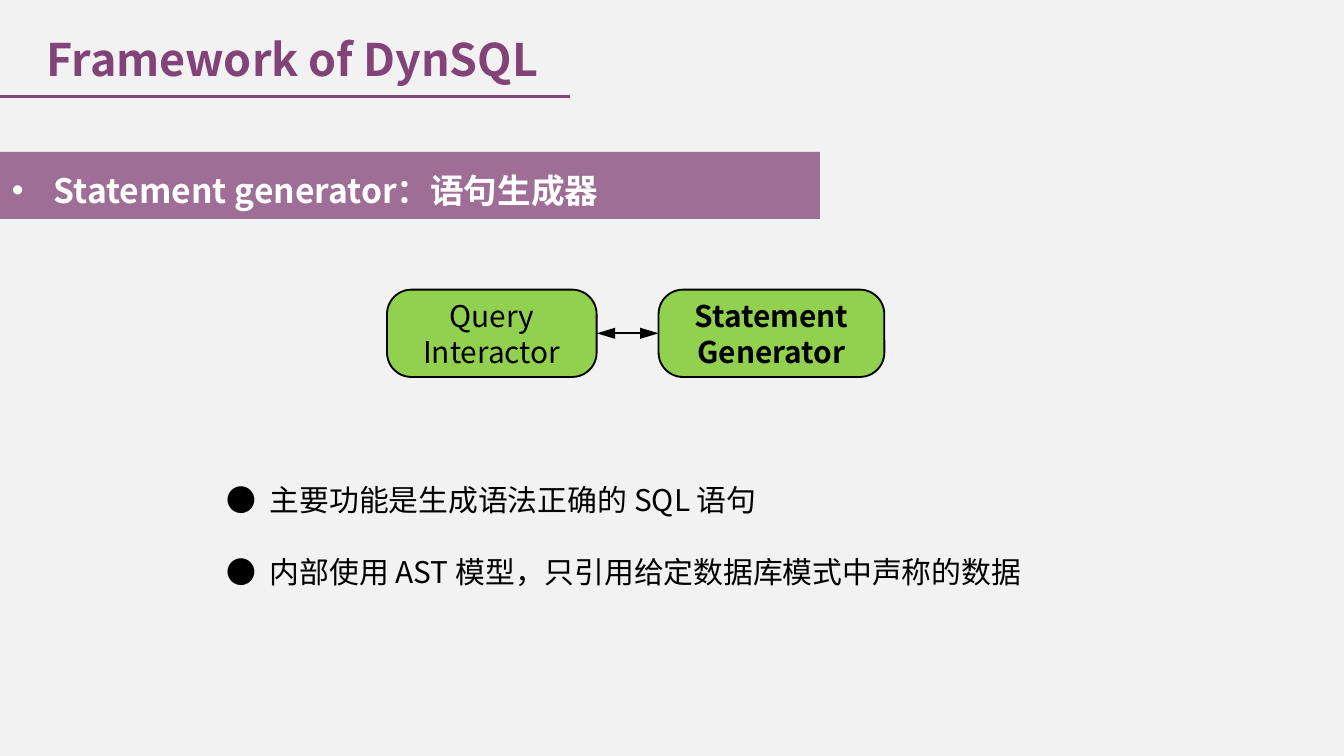
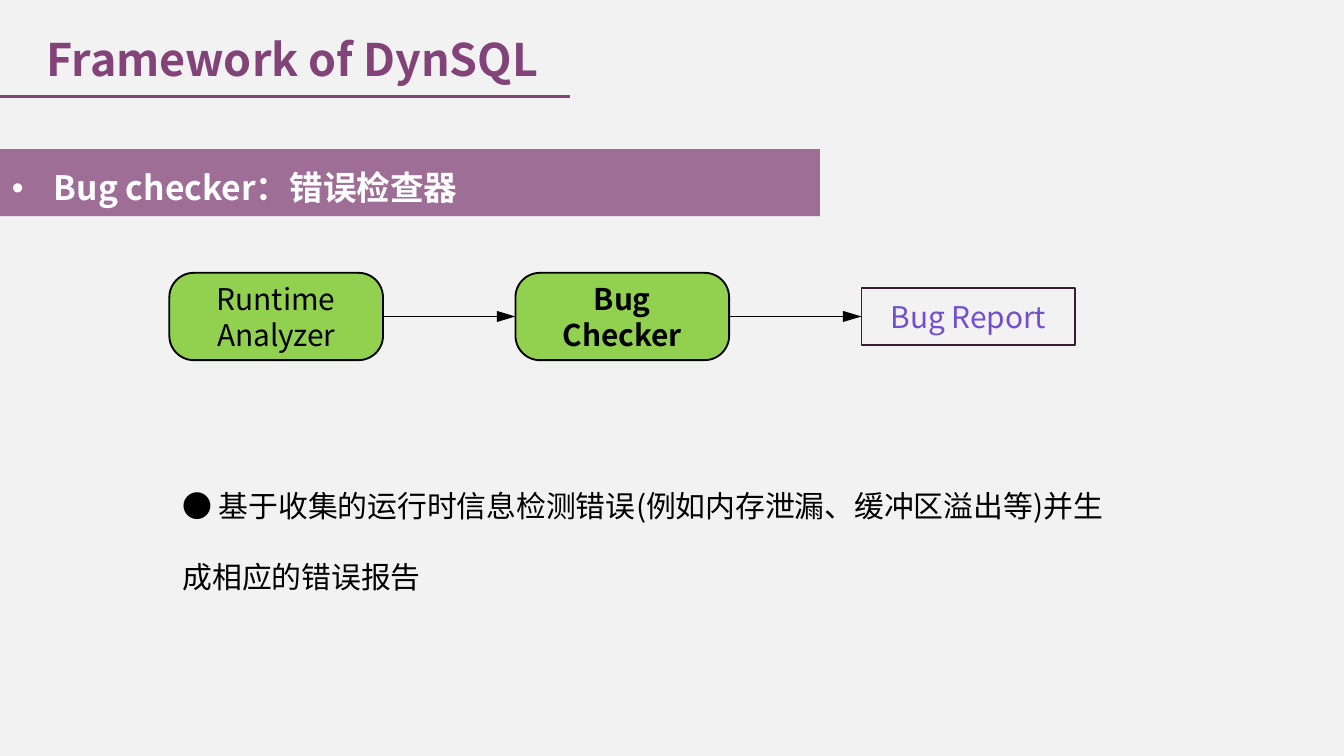
"""Builds two slides on the DynSQL framework, each a banner, a flow of nodes and notes."""
from dataclasses import dataclass

from lxml.etree import SubElement
from pptx import Presentation
from pptx.dml.color import RGBColor
from pptx.enum.shapes import MSO_CONNECTOR, MSO_SHAPE
from pptx.enum.text import MSO_ANCHOR, MSO_AUTO_SIZE, PP_ALIGN
from pptx.oxml.ns import qn
from pptx.util import Inches, Pt


@dataclass(frozen=True)
class Theme:
    font: str = "Noto Sans CJK SC"
    bullet_font: str = "Arial"
    background: str = "F2F2F2"
    accent: str = "824379"
    ink: str = "000000"
    white: str = "FFFFFF"
    node: str = "92D050"
    report_line: str = "391D35"
    report_text: str = "734ECF"
    title_size: int = 24
    banner_size: int = 18
    body_size: int = 16


THEME = Theme()
COLUMNS, ROWS = 100, 56.25
CELL = Inches(0.1)

TITLE = "Framework of DynSQL"
TITLE_BOX = (2.5, 1.9, 39.9, 5)
RULE = (-0.1, 7.2, 42.4, 7.2)
BANNER_LEFT, BANNER_WIDTH, BANNER_HEIGHT = -0.1, 61.1, 5

NODE_STYLES = {
    "plain": dict(preset=MSO_SHAPE.ROUNDED_RECTANGLE, height=6.5, fill=THEME.node,
                  line=THEME.ink, color=THEME.ink, bold=False),
    "focus": dict(preset=MSO_SHAPE.ROUNDED_RECTANGLE, height=6.5, fill=THEME.node,
                  line=THEME.ink, color=THEME.ink, bold=True),
    "report": dict(preset=MSO_SHAPE.RECTANGLE, height=4.3, fill=THEME.background,
                   line=THEME.report_line, color=THEME.report_text, bold=False),
}

SLIDES = [
    dict(
        banner="Statement generator：语句生成器", banner_top=11.3,
        flow=dict(left=28.8, middle=24.8, gap=4.6, ends=("headEnd", "tailEnd")),
        nodes=[("plain", 15.6, ["Query", "Interactor"]),
               ("focus", 16.8, ["Statement", "Generator"])],
        notes=["●\t主要功能是生成语法正确的 SQL 语句",
               "●\t内部使用 AST 模型，只引用给定数据库模式中声称的数据"],
        notes_box=(15.9, 32.7, 79.2, 11), notes_indent=3.2,
    ),
    dict(
        banner="Bug checker：错误检查器", banner_top=11.1,
        flow=dict(left=12.6, middle=23.55, gap=9.85, ends=("tailEnd",)),
        nodes=[("plain", 15.9, ["Runtime", "Analyzer"]),
               ("focus", 15.9, ["Bug", "Checker"]),
               ("report", 15.9, ["Bug Report"])],
        notes=["● 基于收集的运行时信息检测错误(例如内存泄漏、缓冲区溢出等)并生成相应的错误报告"],
        notes_box=(12.6, 33.1, 71.8, 11), notes_indent=0,
    ),
]


def grid(*cells):
    return [round(cell * CELL) for cell in cells]


def apply(target, values):
    for name, value in values.items():
        setattr(target, name, value)


def write(shape, lines, size, color, bold=False, spacing=None,
          align=PP_ALIGN.LEFT, indent=0, bullet=None, **frame_values):
    frame = shape.text_frame
    apply(frame, {"word_wrap": True, **frame_values})
    for number, line in enumerate(lines):
        paragraph = frame.add_paragraph() if number else frame.paragraphs[0]
        apply(paragraph, dict(alignment=align, line_spacing=spacing))
        properties = paragraph._p.get_or_add_pPr()
        if indent:
            margin, = grid(indent)
            properties.set("marL", str(margin))
            properties.set("indent", str(-margin))
        if bullet:
            SubElement(properties, qn("a:buFont"), typeface=THEME.bullet_font)
            SubElement(properties, qn("a:buChar"), char=bullet)
        run = paragraph.add_run()
        run.text = line
        apply(run.font, dict(name=THEME.font, size=Pt(size), bold=bold))
        run.font.color.rgb = RGBColor.from_string(color)
        SubElement(run._r.get_or_add_rPr(), qn("a:ea"), typeface=THEME.font)


def add_block(slide, preset, box, fill, line=None):
    shape = slide.shapes.add_shape(preset, *grid(*box))
    shape.shadow.inherit = False
    shape.fill.solid()
    shape.fill.fore_color.rgb = RGBColor.from_string(fill)
    if line:
        shape.line.color.rgb = RGBColor.from_string(line)
        shape.line.width = Pt(1)
    else:
        shape.line.fill.background()
    return shape


def add_line(slide, points, color, width, ends=()):
    connector = slide.shapes.add_connector(MSO_CONNECTOR.STRAIGHT, *points)
    connector.line.color.rgb = RGBColor.from_string(color)
    connector.line.width = Pt(width)
    for end in ends:
        SubElement(connector.line._get_or_add_ln(), qn(f"a:{end}"),
                   type="triangle", w="med", len="lg")
    SubElement(connector._element.spPr, qn("a:effectLst"))
    return connector


def add_header(slide, text, top):
    title = slide.shapes.add_textbox(*grid(*TITLE_BOX))
    write(title, [TITLE], THEME.title_size, THEME.accent, bold=True,
          word_wrap=False, auto_size=MSO_AUTO_SIZE.SHAPE_TO_FIT_TEXT)
    add_line(slide, grid(*RULE), THEME.accent, 1.5)
    banner = add_block(slide, MSO_SHAPE.RECTANGLE,
                       (BANNER_LEFT, top, BANNER_WIDTH, BANNER_HEIGHT), THEME.accent)
    color = banner.fill._xPr.find(qn("a:solidFill"))[0]
    SubElement(color, qn("a:alpha"), val="75000")
    write(banner, [text], THEME.banner_size, THEME.white, bold=True, spacing=1.5,
          indent=3.13, bullet="•", vertical_anchor=MSO_ANCHOR.MIDDLE,
          margin_top=0, margin_bottom=Inches(0.08))


def add_flow(slide, nodes, left, middle, gap, ends):
    shapes = []
    for kind, width, lines in nodes:
        style = NODE_STYLES[kind]
        box = (left, middle - style["height"] / 2, width, style["height"])
        shape = add_block(slide, style["preset"], box, style["fill"], style["line"])
        if style["preset"] == MSO_SHAPE.ROUNDED_RECTANGLE:
            shape.adjustments[0] = 0.28
        write(shape, lines, THEME.body_size, style["color"], style["bold"],
              align=PP_ALIGN.CENTER, vertical_anchor=MSO_ANCHOR.MIDDLE)
        shapes.append(shape)
        left += width + gap
    for source, target in zip(shapes, shapes[1:]):
        arrow = add_line(slide, (0, 0, 0, 0), THEME.ink, 1, ends)
        arrow.begin_connect(source, 3)
        arrow.end_connect(target, 1)


def main():
    presentation = Presentation()
    presentation.slide_width, presentation.slide_height = grid(COLUMNS, ROWS)
    for content in SLIDES:
        slide = presentation.slides.add_slide(presentation.slide_layouts[6])
        slide.background.fill.solid()
        slide.background.fill.fore_color.rgb = RGBColor.from_string(THEME.background)
        add_header(slide, content["banner"], content["banner_top"])
        add_flow(slide, content["nodes"], **content["flow"])
        notes = slide.shapes.add_textbox(*grid(*content["notes_box"]))
        write(notes, content["notes"], THEME.body_size, THEME.ink, spacing=2.0,
              indent=content["notes_indent"],
              auto_size=MSO_AUTO_SIZE.SHAPE_TO_FIT_TEXT)
    presentation.save("out.pptx")


if __name__ == "__main__":
    main()
